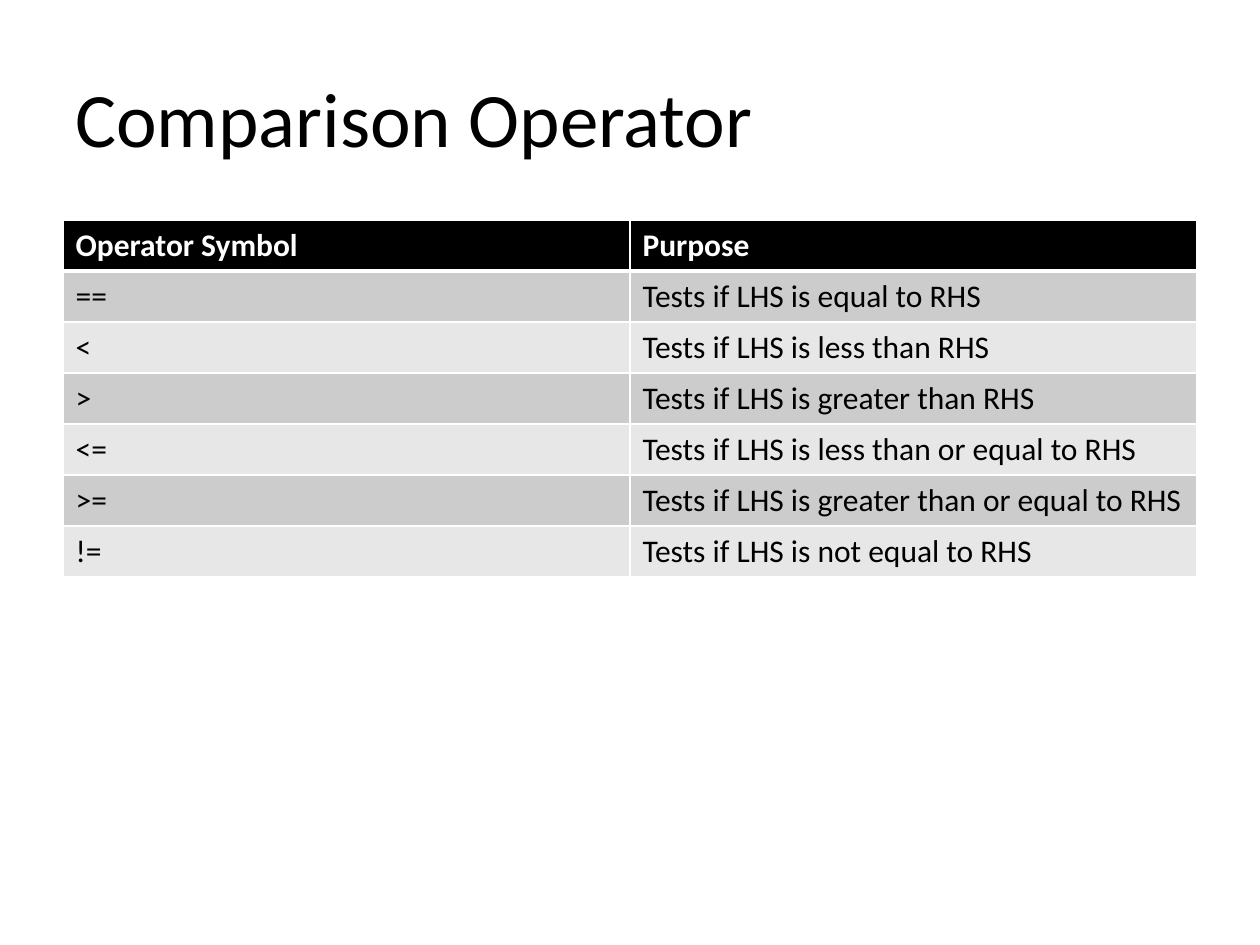
from pptx import Presentation
from pptx.dml.color import RGBColor
from pptx.enum.text import MSO_ANCHOR
from pptx.oxml.ns import qn
from pptx.util import Pt
from lxml.etree import SubElement

TITLE = "Comparison Operator"
ROWS = [
    ("Operator Symbol", "Purpose"),
    ("==", "Tests if LHS is equal to RHS"),
    ("<", "Tests if LHS is less than RHS"),
    (">", "Tests if LHS is greater than RHS"),
    ("<=", "Tests if LHS is less than or equal to RHS"),
    (">=", "Tests if LHS is greater than or equal to RHS"),
    ("!=", "Tests if LHS is not equal to RHS"),
]
THEME = {
    "font": "Calibri", "title": 44, "body": 18,
    "ink": "000000", "paper": "FFFFFF",
    "bands": ("E7E7E7", "CCCCCC"),
    "thin": 1, "thick": 3,
}
SCALE = 914400 // 126
LEFT, WIDTH = 63, 1134
ROW = 51


def px(num):
    return num * SCALE


def style(frame, size, color, bold=False):
    for run in frame.paragraphs[0].runs:
        font = run.font
        font.name = THEME["font"]
        font.size = Pt(size)
        font.bold = bold
        font.color.rgb = RGBColor.from_string(color)


def edge(cell, side, width):
    line = SubElement(cell._tc.get_or_add_tcPr(), qn("a:" + side), w=str(Pt(width)))
    fill = SubElement(line, qn("a:solidFill"))
    SubElement(fill, qn("a:srgbClr"), val=THEME["paper"])


deck = Presentation()
deck.slide_width, deck.slide_height = px(1260), px(945)
slide = deck.slides.add_slide(deck.slide_layouts[6])

title = slide.shapes.add_textbox(px(LEFT), px(38), px(WIDTH), px(157))
frame = title.text_frame
frame.word_wrap = True
frame.vertical_anchor = MSO_ANCHOR.MIDDLE
frame.text = TITLE
style(frame, THEME["title"], THEME["ink"])

count = len(ROWS[0])
table = slide.shapes.add_table(
    len(ROWS), count, px(LEFT), px(220), px(WIDTH), px(ROW * len(ROWS))
).table
for col in table.columns:
    col.width = px(WIDTH // count)

for i, row in enumerate(ROWS):
    table.rows[i].height = px(ROW)
    head = i == 0
    shade = THEME["ink"] if head else THEME["bands"][i % 2]
    color = THEME["paper"] if head else THEME["ink"]
    for j, text in enumerate(row):
        cell = table.cell(i, j)
        cell.text_frame.text = text
        style(cell.text_frame, THEME["body"], color, head)
        for side in ("lnL", "lnR", "lnT", "lnB"):
            heavy = (i, side) in ((0, "lnB"), (1, "lnT"))
            edge(cell, side, THEME["thick" if heavy else "thin"])
        cell.fill.solid()
        cell.fill.fore_color.rgb = RGBColor.from_string(shade)

deck.save("out.pptx")
